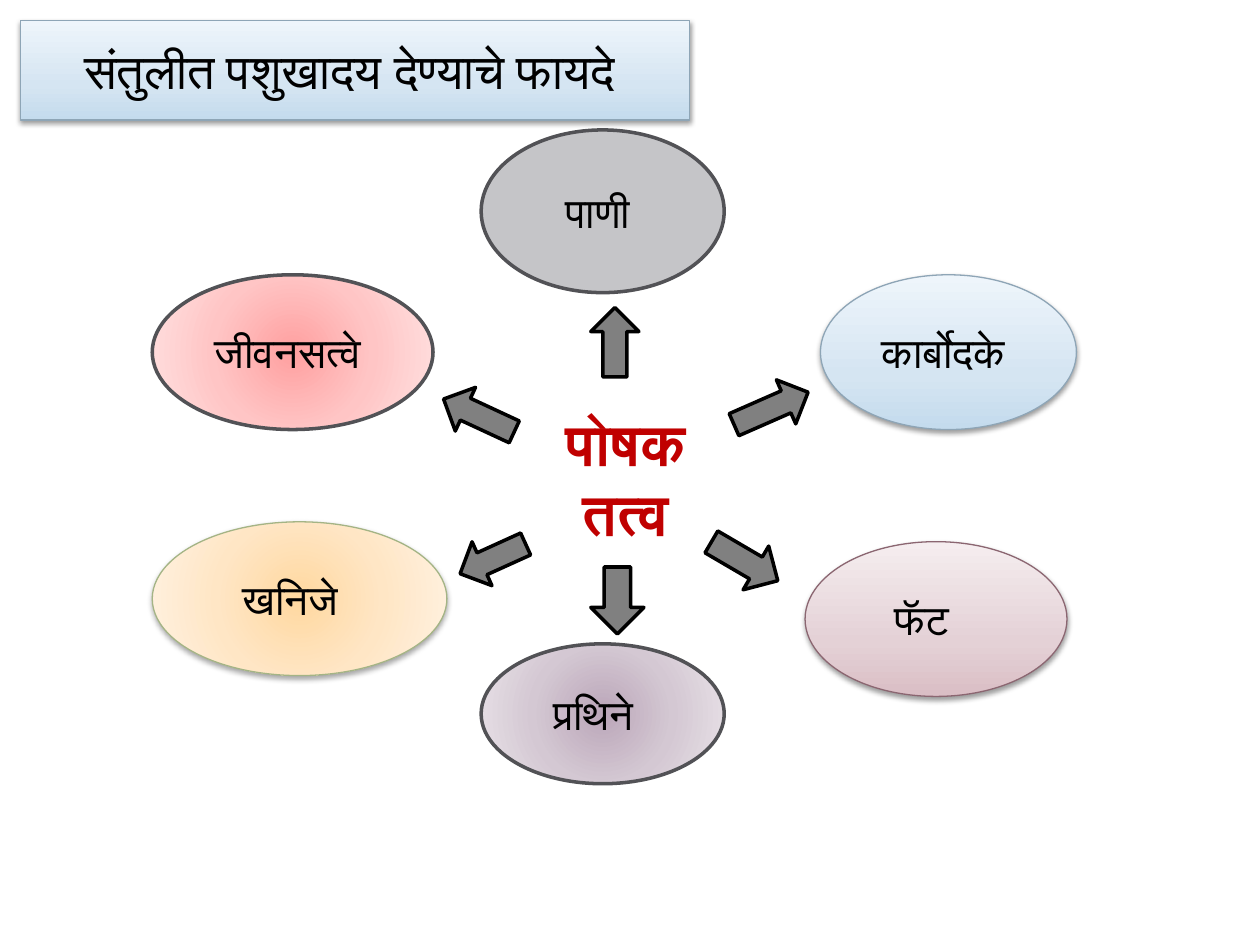
from pptx import Presentation, util as u
from pptx.dml.color import RGBColor
from pptx.enum import shapes, text
from pptx.oxml import parse_xml
from pptx.oxml.ns import nsdecls

COLORS = {
    "ink": "000000", "heading": "C00000", "arrow": "808080",
    "water": "C5C5C8", "outline": "525256",
    "blue_edge": "8EA5B6", "pink_edge": "8B6671", "green_edge": "A4B485",
}
GRADIENTS = {
    "blue": ("linear", [(0, "C4DBED"), (35, "D5E5F2"), (100, "EEF5FB")]),
    "pink": ("linear", [(0, "DABEC5"), (35, "E4D1D6"), (100, "F5EDEF")]),
    "red": ("radial", [(0, "FFA0A0"), (50, "FFC5C5"), (100, "FFE3E3")]),
    "orange": ("radial", [(0, "FFD8A0"), (50, "FFE6C5"), (100, "FFF2E3")]),
    "purple": ("radial", [(0, "BBA6B9"), (50, "D4C8D3"), (100, "EAE4E9")]),
}
DIRECTIONS = {
    "linear": '<a:lin ang="16200000" scaled="0"/>',
    "radial": '<a:path path="circle"><a:fillToRect l="50000" t="50000" r="50000" b="50000"/></a:path>',
}
SHADOWS = {"soft": (35, 1.8), "firm": (38, 1.6)}

TITLE = ("संतुलीत पशुखादय देण्याचे फायदे", (0.41, 0.41, 13.49, 2.01), "blue", "blue_edge", 0.75, "firm", 0.22)
NUTRIENTS = [
    ("पाणी", (9.7, 2.62, 4.9, 3.28), "water", "outline", 2, None, 0.19),
    ("जीवनसत्वे", (3.07, 5.54, 5.66, 3.12), "red", "outline", 2, None, 0.19),
    ("खनिजे", (3.07, 10.52, 5.94, 3.1), "orange", "green_edge", 0.75, "soft", 0.38),
    ("कार्बोदके", (16.54, 5.54, 5.16, 3.12), "blue", "blue_edge", 0.75, "firm", 0.19),
    ("फॅट", (16.23, 10.92, 5.28, 3.12), "pink", "pink_edge", 0.75, "firm", 0.57),
    ("प्रथिने", (9.7, 12.98, 4.9, 2.82), "purple", "outline", 2, None, 0.38),
]
HUB = (["पोषक", "तत्व"], (10.95, 8.1, 3.33, 3.07))
ARROWS = [
    ((11.91, 6.2, 0.97, 1.4), 0),
    ((15.06, 7.42, 0.97, 1.63), 66.3),
    ((11.91, 11.43, 1.07, 1.35), 180),
    ((9.45, 10.54, 0.97, 1.45), 245.6),
    ((9.17, 7.59, 0.97, 1.57), 294.9),
    ((14.5, 10.54, 1.02, 1.55), 120.3),
]


def rgb(name):
    return RGBColor.from_string(COLORS[name])


def place(box):
    return [u.Cm(length) for length in box]


def add_outlined(slide, kind, box, fill, edge, width):
    shape = slide.shapes.add_shape(kind, *place(box))
    shape.shadow.inherit = False
    if fill in GRADIENTS:
        direction, stops = GRADIENTS[fill]
        stop_xml = "".join(
            f'<a:gs pos="{pos * 1000}"><a:srgbClr val="{color}"/></a:gs>' for pos, color in stops)
        shape.element.spPr.insert(2, parse_xml(
            f'<a:gradFill {nsdecls("a")} rotWithShape="1"><a:gsLst>{stop_xml}</a:gsLst>'
            f'{DIRECTIONS[direction]}</a:gradFill>'))
    else:
        shape.fill.solid()
        shape.fill.fore_color.rgb = rgb(fill)
    shape.line.color.rgb = rgb(edge)
    shape.line.width = u.Pt(width)
    return shape


def cast_shadow(shape, shadow):
    opacity, distance = SHADOWS[shadow]
    effects = shape.element.spPr.find(
        "{http://schemas.openxmlformats.org/drawingml/2006/main}effectLst")
    effects.append(parse_xml(
        f'<a:outerShdw {nsdecls("a")} blurRad="{u.Pt(3.1)}" dist="{u.Pt(distance)}" dir="5400000" '
        f'rotWithShape="0"><a:srgbClr val="{COLORS["ink"]}"><a:alpha val="{opacity * 1000}"/>'
        f'</a:srgbClr></a:outerShdw>'))


def write(frame, lines, size, font, color, bold=False):
    frame.word_wrap = True
    frame.text = "\n".join(lines)
    for paragraph in frame.paragraphs:
        paragraph.alignment = text.PP_ALIGN.CENTER
        for run in paragraph.runs:
            run.font.size = u.Pt(size)
            run.font.name = font
            run.font.bold = bold
            run.font.color.rgb = rgb(color)


def add_label(slide, kind, size, label, box, fill, edge, width, shadow, shift):
    shape = add_outlined(slide, kind, box, fill, edge, width)
    if shadow:
        cast_shadow(shape, shadow)
    frame = shape.text_frame
    frame.vertical_anchor = text.MSO_ANCHOR.MIDDLE
    frame.margin_right = u.Cm(0.25 + shift)
    write(frame, [label], size, "Calibri", "ink")


def main():
    deck = Presentation()
    deck.slide_width, deck.slide_height = u.Cm(25.4), u.Cm(19.05)
    slide = deck.slides.add_slide(deck.slide_layouts[6])

    for box, angle in ARROWS:
        arrow = add_outlined(slide, shapes.MSO_SHAPE.UP_ARROW, box, "arrow", "ink", 2)
        arrow.rotation = angle

    lines, box = HUB
    hub = slide.shapes.add_textbox(*place(box))
    write(hub.text_frame, lines, 33, "DejaVu Sans Mono", "heading", bold=True)

    for nutrient in NUTRIENTS:
        add_label(slide, shapes.MSO_SHAPE.OVAL, 24, *nutrient)
    add_label(slide, shapes.MSO_SHAPE.RECTANGLE, 27.9, *TITLE)

    deck.save("out.pptx")


if __name__ == "__main__":
    main()
